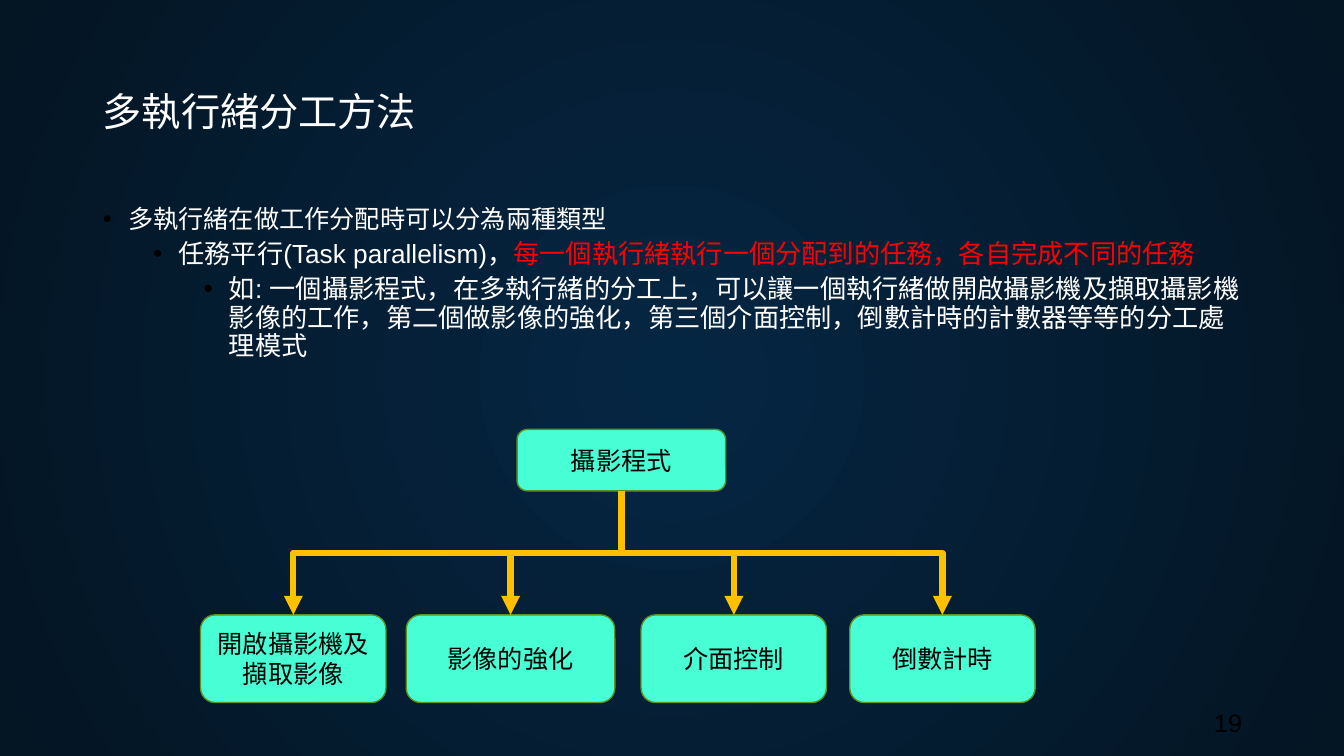
from lxml.etree import SubElement
from pptx import Presentation
from pptx.dml.color import RGBColor
from pptx.enum.shapes import MSO_CONNECTOR, MSO_SHAPE
from pptx.enum.text import MSO_ANCHOR, MSO_AUTO_SIZE, PP_ALIGN
from pptx.oxml.ns import qn
from pptx.util import Inches, Pt

WIDTH, HEIGHT = Inches(13.33), Inches(7.5)
COLUMN, ROW = WIDTH / 40, HEIGHT / 30
COLORS = {
    "center": "052643", "edge": "041523", "text": "FFFFFF", "accent": "FF0000",
    "dark": "000000", "node": "48FFD5", "border": "60911E", "arrow": "FFC000",
}
TITLE_BOX = (2.76, 1.6, 34.5, 5.8)
BODY_BOX = (2.76, 8, 34.5, 19.04)
DIAGRAM_BOX = (5.97, 17.04, 24.84, 10.84)
NUMBER_BOX = (34, 27.8, 3.26, 1.7)
BODY = [
    [("多執行緒在做工作分配時可以分為兩種類型", "text", 18)],
    [("任務平行(Task parallelism)，", "text", 18.7),
     ("每一個執行緒執行一個分配到的任務，各自完成不同的任務", "accent", 18.7)],
    [("如: 一個攝影程式，在多執行緒的分工上，可以讓一個執行緒做開啟攝影機及擷取攝影機影像的工作，"
      "第二個做影像的強化，第三個介面控制，倒數計時的計數器等等的分工處理模式", "text", 18.7)],
]
TASKS = [
    ("開啟攝影機及擷取影像", 0, 5.52),
    ("影像的強化", 6.12, 6.21),
    ("介面控制", 13.11, 5.52),
    ("倒數計時", 19.32, 5.52),
]


def color(name):
    """Return the named colour."""
    return RGBColor.from_string(COLORS[name])


def place(shape, box):
    """Move a shape to a box given in columns and rows."""
    left, top, width, height = box
    shape.left, shape.width = int(left * COLUMN), int(width * COLUMN)
    shape.top, shape.height = int(top * ROW), int(height * ROW)


def style(run, name, size=18, font="Arial"):
    """Set the font, size and colour of a run."""
    run.font.name, run.font.size = font, Pt(size)
    run.font.color.rgb = color(name)


def add_background(slide):
    """Fill the slide with a circular gradient."""
    fill = slide.background.fill
    fill.gradient()
    for stop, name, position in zip(fill.gradient_stops, ("center", "edge"), (0, 1)):
        stop.color.rgb, stop.position = color(name), position
    gradient = next(slide.background._cSld.iter(qn("a:gradFill")))
    gradient.remove(gradient.find(qn("a:lin")))
    circle = SubElement(gradient, qn("a:path"), path="circle")
    SubElement(circle, qn("a:fillToRect"), dict.fromkeys("ltrb", "50000"))


def add_title(slide, box):
    """Fill the title placeholder."""
    title = slide.shapes.title
    place(title, box)
    frame = title.text_frame
    frame.text = "多執行緒分工方法"
    frame.vertical_anchor, frame.auto_size = MSO_ANCHOR.MIDDLE, MSO_AUTO_SIZE.NONE
    paragraph = frame.paragraphs[0]
    paragraph.alignment, paragraph.line_spacing = PP_ALIGN.LEFT, 0.9
    style(paragraph.runs[0], "text", 28, "Roboto")


def add_bullet(paragraph, level):
    """Give a paragraph a dark bullet and the indent of its level."""
    paragraph.level = level
    properties = paragraph._p.get_or_add_pPr()
    properties.set("marL", str(Inches(0.25 + level * 0.5)))
    properties.set("indent", str(Inches(-0.25)))
    bullet_color = SubElement(properties, qn("a:buClr"))
    SubElement(bullet_color, qn("a:srgbClr"), val=COLORS["dark"])
    SubElement(properties, qn("a:buFont"), typeface="Arial")
    SubElement(properties, qn("a:buChar"), char="•")


def add_body(slide, box):
    """Fill the body placeholder with one bullet per level."""
    body = slide.placeholders[1]
    place(body, box)
    frame = body.text_frame
    frame.auto_size = MSO_AUTO_SIZE.NONE
    for level, parts in enumerate(BODY):
        paragraph = frame.add_paragraph() if level else frame.paragraphs[0]
        paragraph.line_spacing = 0.9
        paragraph.space_before = Pt(5 if level else 0)
        add_bullet(paragraph, level)
        for text, name, size in parts:
            run = paragraph.add_run()
            run.text = text
            style(run, name, size)


def add_node(slide, text, box):
    """Add a rounded box with a centred label."""
    node = slide.shapes.add_shape(MSO_SHAPE.ROUNDED_RECTANGLE, 0, 0, 0, 0)
    place(node, box)
    node.shadow.inherit = False
    node.fill.solid()
    node.fill.fore_color.rgb = color("node")
    node.line.color.rgb, node.line.width = color("border"), Pt(1)
    frame = node.text_frame
    frame.text, frame.vertical_anchor = text, MSO_ANCHOR.MIDDLE
    frame.paragraphs[0].alignment = PP_ALIGN.CENTER
    style(frame.paragraphs[0].runs[0], "dark")
    return node


def add_arrow(slide, parent, child):
    """Join the bottom of a parent to the top of a child with a bent arrow."""
    arrow = slide.shapes.add_connector(MSO_CONNECTOR.ELBOW, 0, 0, 0, 0)
    arrow.begin_connect(parent, 2)
    arrow.end_connect(child, 0)
    start_x, start_y = parent.left + parent.width // 2, parent.top + parent.height
    end_x, end_y = child.left + child.width // 2, child.top
    arrow.width, arrow.height = end_y - start_y, abs(end_x - start_x)
    arrow.left = (start_x + end_x - arrow.width) // 2
    arrow.top = (start_y + end_y - arrow.height) // 2
    to_right = end_x > start_x
    properties = arrow._element.spPr
    transform = properties.find(qn("a:xfrm"))
    transform.set("rot", str((270 if to_right else 90) * 60000))
    transform.set("flipH", str(int(to_right)))
    transform.set("flipV", "0")
    arrow.line.color.rgb, arrow.line.width = color("arrow"), Pt(4.5)
    SubElement(properties.find(qn("a:ln")), qn("a:tailEnd"), type="triangle")
    SubElement(properties, qn("a:effectLst"))


def add_diagram(slide, box):
    """Draw the program and the tasks it is divided into."""
    left, top, _, height = box
    program = add_node(slide, "攝影程式", (left + 9.42, top, 6.21, 2.44))
    task_height = 3.48
    for text, offset, width in TASKS:
        task_box = (left + offset, top + height - task_height, width, task_height)
        add_arrow(slide, program, add_node(slide, text, task_box))


def add_number(slide, box):
    """Add the slide number at the lower right."""
    number = slide.shapes.add_textbox(0, 0, 0, 0)
    place(number, box)
    frame = number.text_frame
    frame.word_wrap, frame.vertical_anchor = True, MSO_ANCHOR.MIDDLE
    frame.text = "19"
    frame.paragraphs[0].alignment = PP_ALIGN.RIGHT
    style(frame.paragraphs[0].runs[0], "dark")


def main():
    """Build the slide and save it."""
    presentation = Presentation()
    presentation.slide_width, presentation.slide_height = WIDTH, HEIGHT
    slide = presentation.slides.add_slide(presentation.slide_layouts[1])
    add_background(slide)
    add_title(slide, TITLE_BOX)
    add_body(slide, BODY_BOX)
    add_diagram(slide, DIAGRAM_BOX)
    add_number(slide, NUMBER_BOX)
    presentation.save("out.pptx")


if __name__ == "__main__":
    main()
